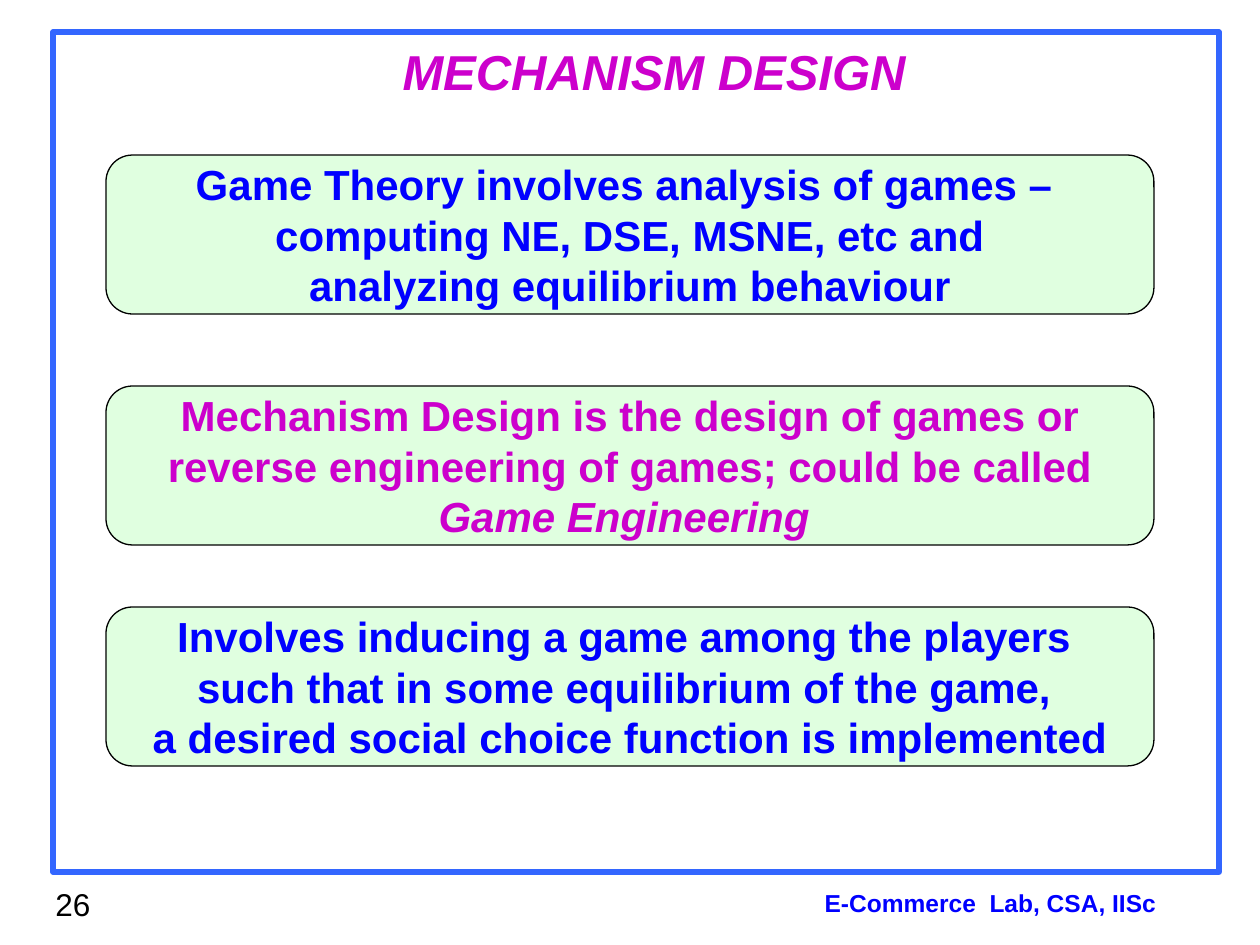
from lxml import etree
from pptx import Presentation
from pptx.dml.color import RGBColor
from pptx.enum.shapes import MSO_SHAPE
from pptx.enum.text import MSO_ANCHOR, PP_ALIGN
from pptx.oxml.ns import qn
from pptx.util import Emu, Pt

CENTER, LEFT = PP_ALIGN.CENTER, PP_ALIGN.LEFT
TOP, MIDDLE = MSO_ANCHOR.TOP, MSO_ANCHOR.MIDDLE
RECT, ROUNDED = MSO_SHAPE.RECTANGLE, MSO_SHAPE.ROUNDED_RECTANGLE

BLUE, MAGENTA, BLACK = "0000FF", "CC00CC", "000000"
FRAME_BLUE, PALE_GREEN = "3366FF", "CCFFCC"
CARD_OPACITY = 60

FRAME = (53, 32, 1166, 840)
CARD_LEFT, CARD_WIDTH, CARD_HEIGHT = 106, 1048, 159

# box, text, alignment, font
LABELS = [
    ((732, 882, 517, 43), "E-Commerce  Lab, CSA, IISc", CENTER,
     dict(size=14, color=BLUE, bold=True)),
    ((43, 879, 318, 66), "26", LEFT, dict(size=18, color=BLACK)),
    ((130, 35, 1048, 72), "MECHANISM DESIGN", CENTER,
     dict(size=28, color=MAGENTA, bold=True, italic=True)),
]

# top, colour, lines, numbers of the italic lines
CARDS = [
    (155, BLUE, ["Game Theory involves analysis of games – ",
                 "computing NE, DSE, MSNE, etc and",
                 "analyzing equilibrium behaviour"], ()),
    (386, MAGENTA, ["Mechanism Design is the design of games or",
                    "reverse engineering of games; could be called",
                    "Game Engineering "], (2,)),
    (607, BLUE, ["Involves inducing a game among the players ",
                 "such that in some equilibrium of the game, ",
                 "a desired social choice function is implemented"], ()),
]


def px(length):
    return Emu(round(length * 914400 / 126))


def rgb(color):
    return RGBColor.from_string(color)


def set_font(paragraph, size, color, bold=False, italic=False):
    font = paragraph.font
    font.name, font.size = "Arial", Pt(size)
    font.bold, font.italic = bold, italic
    font.color.rgb = rgb(color)


def add_outlined(slide, preset, box, line_color, line_width):
    shape = slide.shapes.add_shape(preset, *map(px, box))
    shape.shadow.inherit = False
    shape.line.color.rgb = rgb(line_color)
    shape.line.width = Pt(line_width)
    return shape


def add_label(slide, box, text, alignment, font):
    frame = slide.shapes.add_textbox(*map(px, box)).text_frame
    frame.word_wrap = True
    frame.vertical_anchor = TOP
    paragraph = frame.paragraphs[0]
    paragraph.text = text
    paragraph.alignment = alignment
    set_font(paragraph, **font)


def add_card(slide, top, color, lines, italic_lines):
    box = (CARD_LEFT, top, CARD_WIDTH, CARD_HEIGHT)
    card = add_outlined(slide, ROUNDED, box, BLACK, 0.75)
    card.fill.solid()
    card.fill.fore_color.rgb = rgb(PALE_GREEN)
    fill_color = card.fill._xPr.find(qn("a:solidFill"))[0]
    etree.SubElement(fill_color, qn("a:alpha"), val=str(CARD_OPACITY * 1000))
    frame = card.text_frame
    frame.word_wrap = False
    frame.vertical_anchor = MIDDLE
    frame.text = "\n".join(lines)
    for number, paragraph in enumerate(frame.paragraphs):
        paragraph.alignment = CENTER
        set_font(paragraph, 24, color, bold=True, italic=number in italic_lines)


def main():
    deck = Presentation()
    deck.slide_width, deck.slide_height = px(1260), px(945)
    slide = deck.slides.add_slide(deck.slide_layouts[6])
    add_outlined(slide, RECT, FRAME, FRAME_BLUE, 3).fill.background()
    for label in LABELS:
        add_label(slide, *label)
    for card in CARDS:
        add_card(slide, *card)
    deck.save("out.pptx")


if __name__ == "__main__":
    main()
